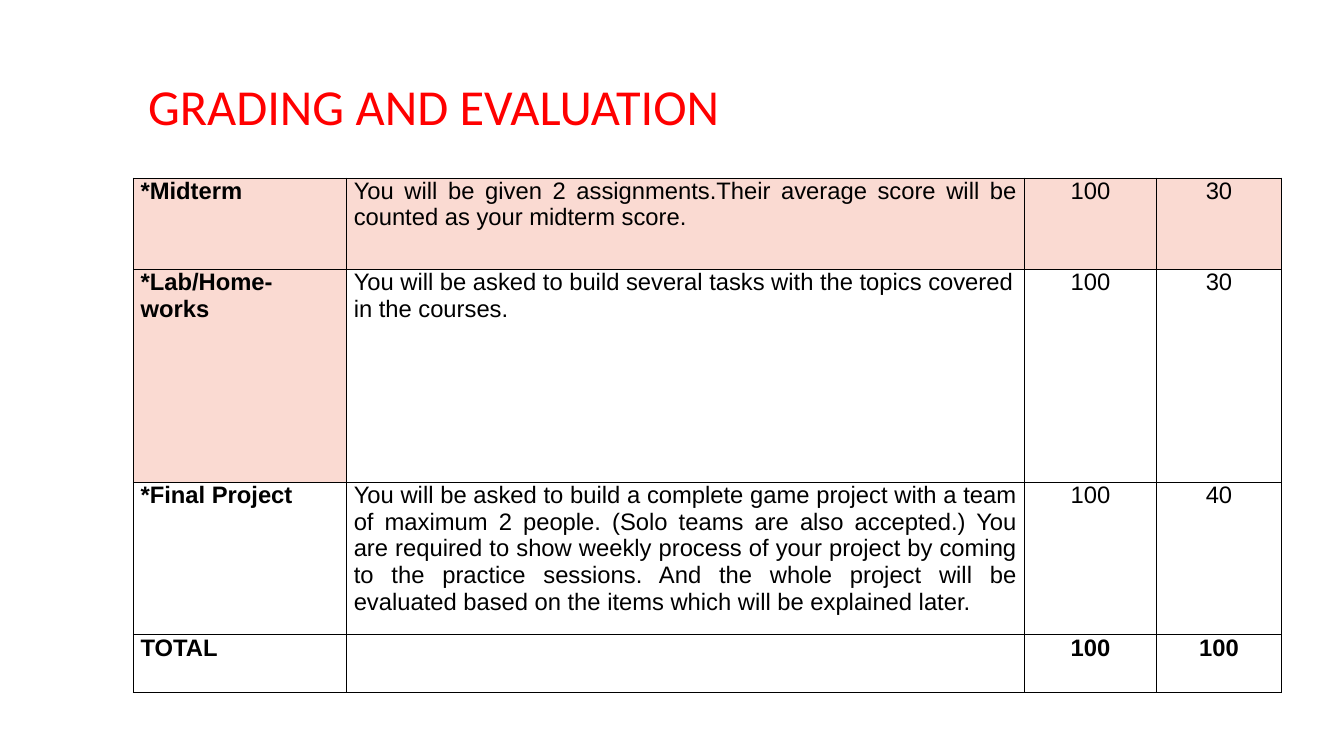
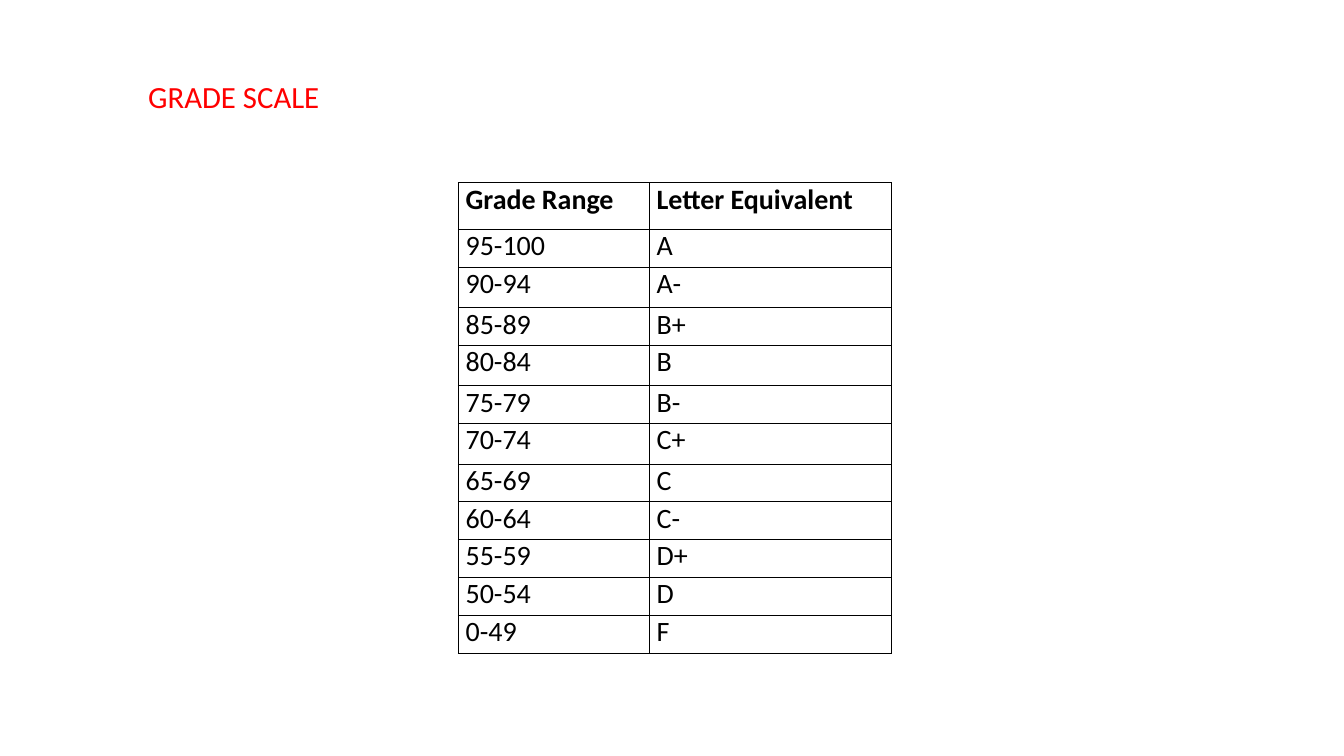
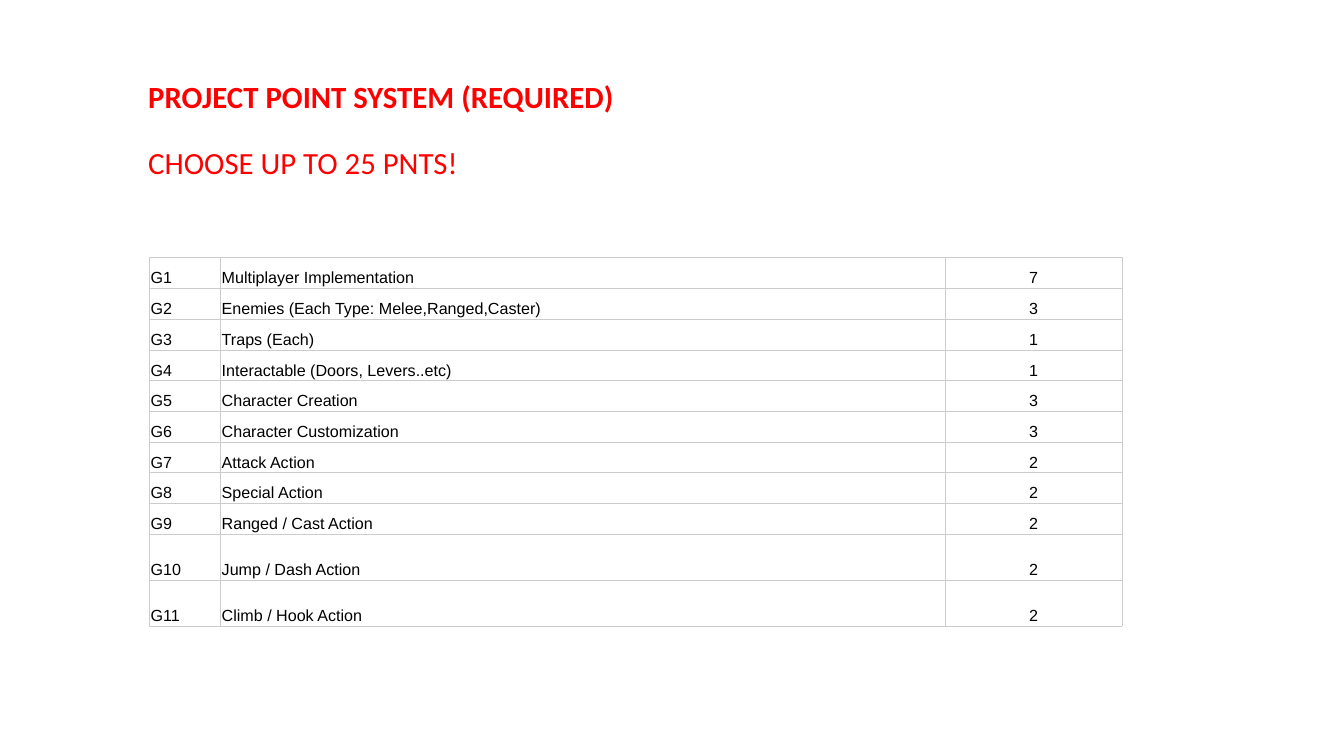
from dataclasses import dataclass
from typing import NamedTuple

import pptx
import pptx.dml.color
import pptx.enum.text
import pptx.oxml
import pptx.oxml.ns
import pptx.presentation
import pptx.slide
import pptx.table
import pptx.util

Inches = pptx.util.Inches
Align = pptx.enum.text.PP_ALIGN
Anchor = pptx.enum.text.MSO_ANCHOR


@dataclass(frozen=True)
class Theme:
    title_color: str = "FF0000"
    text_color: str = "000000"
    highlight: str = "FADAD2"
    grid_dark: str = "000000"
    grid_light: str = "CCCCCC"
    title_font: str = "Calibri"
    body_font: str = "Arial"
    title_large: int = 72
    title_small: int = 44
    title_gap: int = 47
    evaluation_size: int = 34
    scale_size: int = 40
    points_size: int = 23


THEME = Theme()


class TitleLine(NamedTuple):
    text: str
    size: int
    bold: bool = False


@dataclass(frozen=True)
class TableStyle:
    font: str
    size: int
    border_color: str
    border_width: float
    alignments: tuple[Align, ...]
    side_margin: float = 0.15
    end_margin: float = 0
    anchor: Anchor = Anchor.TOP


@dataclass(frozen=True)
class TableSpec:
    left: float
    top: float
    columns: tuple[float, ...]
    heights: tuple[float, ...]
    rows: tuple[tuple[str, ...], ...]
    style: TableStyle
    bold: frozenset[tuple[int, int]] = frozenset()
    filled: frozenset[tuple[int, int]] = frozenset()
    left_aligned: frozenset[tuple[int, int]] = frozenset()


EVALUATION = TableSpec(
    left=2.64,
    top=3.53,
    columns=(4.23, 13.46, 2.62, 2.48),
    heights=(1.81, 4.23, 3.02, 1.14),
    rows=(
        ("*Midterm",
         "You will be given 2 assignments.Their average score will be "
         "counted as your midterm score.", "100", "30"),
        ("*Lab/Home-works",
         "You will be asked to build several tasks with the topics covered "
         "in the courses.", "100", "30"),
        ("*Final Project",
         "You will be asked to build a complete game project with a team of "
         "maximum 2 people. (Solo teams are also accepted.) You are required "
         "to show weekly process of your project by coming to the practice "
         "sessions. And the whole project will be evaluated based on the "
         "items which will be explained later.", "100", "40"),
        ("TOTAL", "", "100", "100"),
    ),
    style=TableStyle(
        THEME.body_font, THEME.evaluation_size, THEME.grid_dark, 0.5,
        (Align.JUSTIFY, Align.JUSTIFY, Align.CENTER, Align.CENTER)),
    bold=frozenset({(0, 0), (1, 0), (2, 0), (3, 0), (3, 2), (3, 3)}),
    filled=frozenset({(0, 0), (0, 1), (0, 2), (0, 3), (1, 0)}),
    left_aligned=frozenset({(1, 1)}),
)

GRADE_SCALE = TableSpec(
    left=9.09,
    top=3.62,
    columns=(3.79, 4.81),
    heights=(0.93,) + (0.75, 0.8) * 3 + (0.75,) * 5,
    rows=(
        ("Grade Range", "Letter Equivalent"),
        ("95-100", "A"),
        ("90-94", "A-"),
        ("85-89", "B+"),
        ("80-84", "B"),
        ("75-79", "B-"),
        ("70-74", "C+"),
        ("65-69", "C"),
        ("60-64", "C-"),
        ("55-59", "D+"),
        ("50-54", "D"),
        ("0-49", "F"),
    ),
    style=TableStyle(
        THEME.title_font, THEME.scale_size, THEME.grid_dark, 0.5,
        (Align.LEFT, Align.LEFT)),
    bold=frozenset({(0, 0), (0, 1)}),
)

FEATURES = (
    ("Multiplayer Implementation", 7),
    ("Enemies (Each Type: Melee,Ranged,Caster)", 3),
    ("Traps (Each)", 1),
    ("Interactable (Doors, Levers..etc)", 1),
    ("Character Creation", 3),
    ("Character Customization", 3),
    ("Attack Action", 2),
    ("Special Action", 2),
    ("Ranged / Cast Action", 2),
    ("Jump / Dash Action", 2),
    ("Climb / Hook Action", 2),
)

PROJECT_POINTS = TableSpec(
    left=2.96,
    top=5.11,
    columns=(1.41, 14.38, 3.52),
    heights=(0.61,) * 9 + (0.91,) * 2,
    rows=tuple((f"G{number}", feature, str(points))
               for number, (feature, points) in enumerate(FEATURES, start=1)),
    style=TableStyle(
        THEME.body_font, THEME.points_size, THEME.grid_light, 0.75,
        (Align.LEFT, Align.LEFT, Align.CENTER),
        side_margin=0.03, end_margin=0.02, anchor=Anchor.BOTTOM),
)

SLIDES = (
    ((TitleLine("GRADING AND EVALUATION", THEME.title_large),), EVALUATION),
    ((TitleLine("GRADE SCALE", THEME.title_small),), GRADE_SCALE),
    ((TitleLine("PROJECT POINT SYSTEM (REQUIRED)", THEME.title_small, True),
      TitleLine("CHOOSE UP TO 25 PNTS!", THEME.title_small)), PROJECT_POINTS),
)


def format_font(font: pptx.text.text.Font, name: str, size: int,
                color: str, bold: bool) -> None:
    font.name = name
    font.size = pptx.util.Pt(size)
    font.bold = bold
    font.color.rgb = pptx.dml.color.RGBColor.from_string(color)


def draw_title(slide: pptx.slide.Slide, lines: tuple[TitleLine, ...]) -> None:
    title = slide.shapes.title
    title.left, title.top = Inches(2.74), Inches(1.52)
    title.width, title.height = Inches(22.26), Inches(3.26)
    frame = title.text_frame
    frame.auto_size = pptx.enum.text.MSO_AUTO_SIZE.NONE
    frame.word_wrap = True
    frame.vertical_anchor = Anchor.TOP
    frame.margin_left = frame.margin_right = Inches(0.2)
    frame.margin_top = frame.margin_bottom = Inches(0.1)
    frame.text = "\n".join(line.text for line in lines)
    for index, (paragraph, line) in enumerate(zip(frame.paragraphs, lines)):
        paragraph.alignment = Align.LEFT
        paragraph.line_spacing = 0.9
        paragraph.space_before = pptx.util.Pt(THEME.title_gap if index else 0)
        format_font(paragraph.runs[0].font, THEME.title_font, line.size,
                    THEME.title_color, line.bold)


def draw_borders(cell: pptx.table._Cell, color: str, width: float) -> None:
    properties = cell._tc.get_or_add_tcPr()
    namespace = pptx.oxml.ns.nsdecls("a")
    for side in "LRTB":
        properties.append(pptx.oxml.parse_xml(
            f'<a:ln{side} {namespace} w="{pptx.util.Pt(width)}"><a:solidFill>'
            f'<a:srgbClr val="{color}"/></a:solidFill></a:ln{side}>'))


def draw_cell(cell: pptx.table._Cell, text: str, style: TableStyle,
              alignment: Align, bold: bool, filled: bool) -> None:
    draw_borders(cell, style.border_color, style.border_width)
    if filled:
        cell.fill.solid()
        cell.fill.fore_color.rgb = pptx.dml.color.RGBColor.from_string(
            THEME.highlight)
    else:
        cell.fill.background()
    cell.margin_left = cell.margin_right = Inches(style.side_margin)
    cell.margin_top = cell.margin_bottom = Inches(style.end_margin)
    cell.vertical_anchor = style.anchor
    cell.text_frame.text = text
    paragraph = cell.text_frame.paragraphs[0]
    paragraph.alignment = alignment
    for run in paragraph.runs:
        format_font(run.font, style.font, style.size, THEME.text_color, bold)


def draw_table(slide: pptx.slide.Slide, spec: TableSpec) -> None:
    table = slide.shapes.add_table(
        len(spec.rows), len(spec.columns), Inches(spec.left), Inches(spec.top),
        Inches(sum(spec.columns)), Inches(sum(spec.heights))).table
    table.first_row = table.horz_banding = False
    for column, width in zip(table.columns, spec.columns):
        column.width = Inches(width)
    for row, height in zip(table.rows, spec.heights):
        row.height = Inches(height)
    for row_index, texts in enumerate(spec.rows):
        for column_index, text in enumerate(texts):
            place = (row_index, column_index)
            alignment = (Align.LEFT if place in spec.left_aligned
                         else spec.style.alignments[column_index])
            draw_cell(table.cell(*place), text, spec.style, alignment,
                      place in spec.bold, place in spec.filled)


def main() -> None:
    presentation = pptx.Presentation()
    presentation.slide_width = Inches(26.67)
    presentation.slide_height = Inches(15)
    title_only = presentation.slide_layouts.get_by_name("Title Only")
    for title_lines, table_spec in SLIDES:
        slide = presentation.slides.add_slide(title_only)
        draw_title(slide, title_lines)
        draw_table(slide, table_spec)
    presentation.save("out.pptx")


if __name__ == "__main__":
    main()
